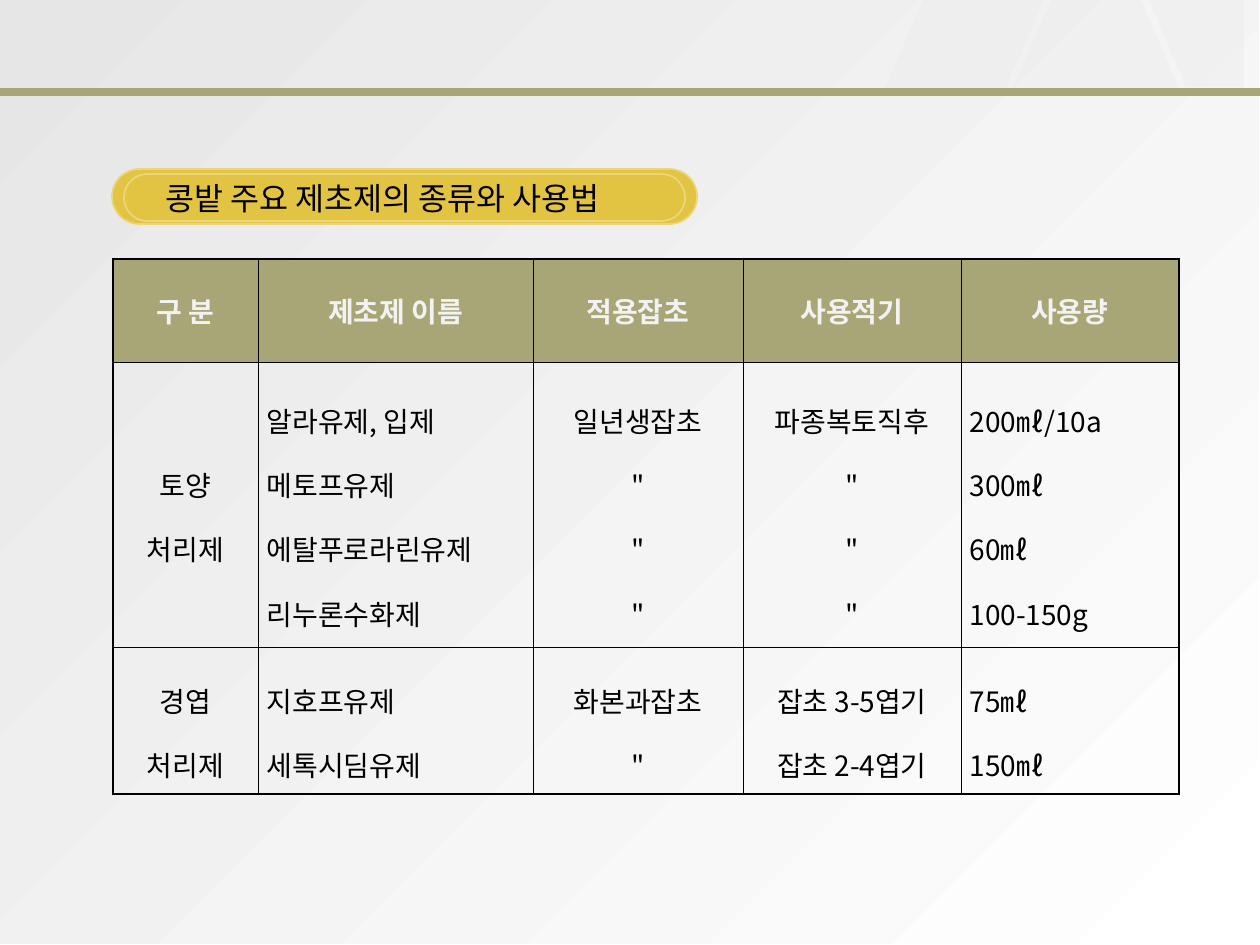
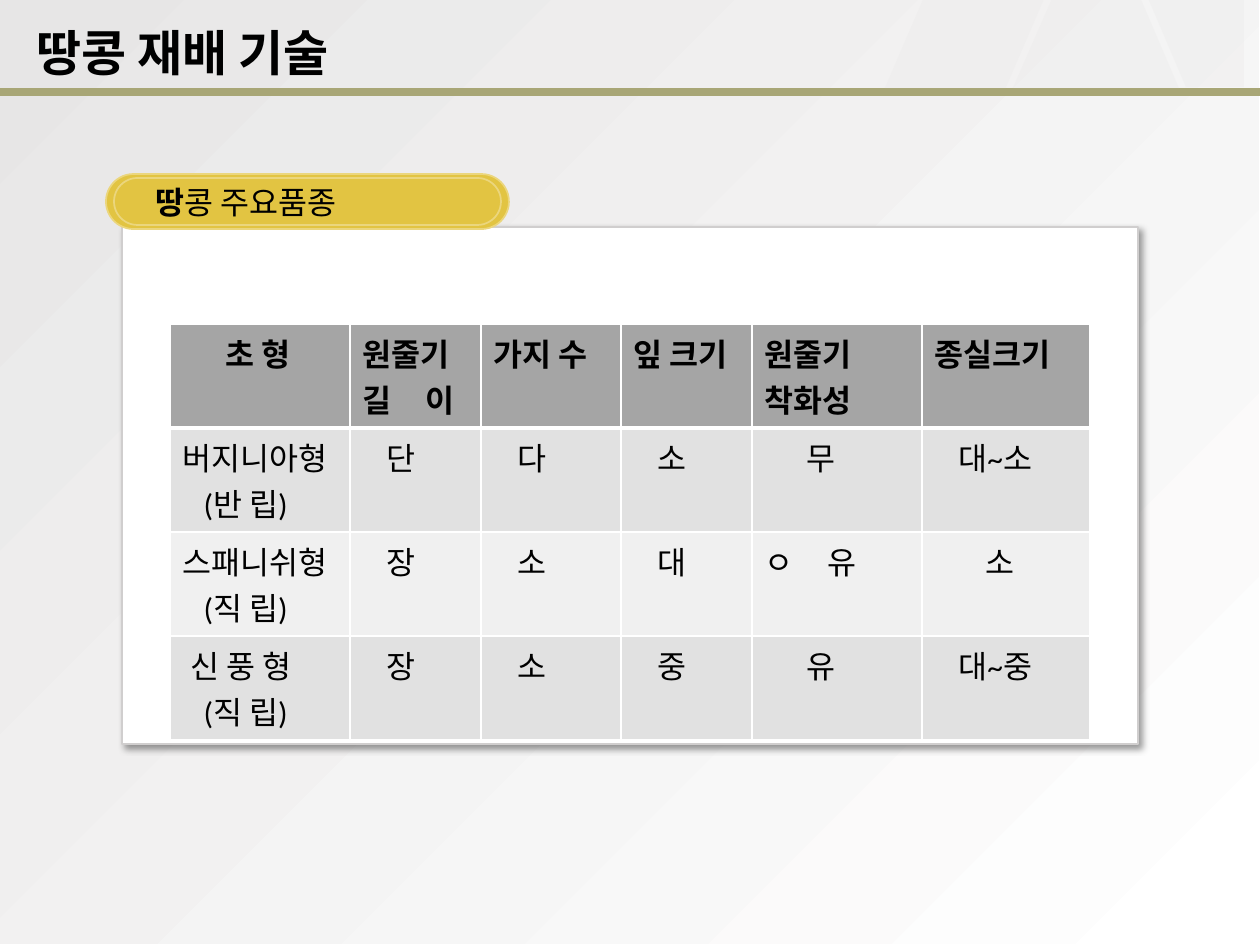
from lxml.etree import SubElement
from pptx import Presentation
from pptx.dml.color import RGBColor as RGB
from pptx.enum.shapes import MSO_SHAPE as SHAPE
from pptx.enum.text import MSO_ANCHOR as ANCHOR, PP_ALIGN as ALIGN
from pptx.oxml.ns import qn
from pptx.util import Pt

PX = 914400 // 126
KOREAN, LATIN = "Noto Sans CJK KR", "Calibri"
BLACK, WHITE = RGB(0, 0, 0), RGB(255, 255, 255)
MIST, OLIVE = RGB(0xE7, 0xE6, 0xE6), RGB(0xA8, 0xA6, 0x76)
GOLD, RIM = RGB(0xE2, 0xC4, 0x42), RGB(0xEB, 0xD6, 0x7D)
PALE, EDGE = RGB(0xF2, 0xF2, 0xF2), RGB(0xD0, 0xCE, 0xCE)
GREY = RGB(0xA5, 0xA5, 0xA5)
BANDS = RGB(0xE1, 0xE1, 0xE1), RGB(0xF0, 0xF0, 0xF0)

TITLE = "땅콩 재배 기술"
DITTO = '\n"'
WEEDS = [
    ["구 분", "제초제 이름", "적용잡초", "사용적기", "사용량"],
    ["토양\n처리제",
     "알라유제, 입제\n메토프유제\n에탈푸로라린유제\n리누론수화제",
     "일년생잡초" + DITTO * 3, "파종복토직후" + DITTO * 3,
     "200㎖/10a\n300㎖\n60㎖\n100-150g"],
    ["경엽\n처리제", "지호프유제\n세톡시딤유제", "화본과잡초" + DITTO,
     "잡초 3-5엽기\n잡초 2-4엽기", "75㎖\n150㎖"],
]
WEED_COLS, WEED_ROWS = [145, 275, 210, 218, 218], [103, 285, 147]
WEED_ALIGN = [ALIGN.CENTER, ALIGN.JUSTIFY, ALIGN.CENTER, ALIGN.CENTER, ALIGN.JUSTIFY]

# Each cell: its text, then the indent of each line in px.
NUTS = [
    [("초 형", 43), ("원줄기\n길\t이", 0, 0), ("가지 수", 0), ("잎 크기", 0),
     ("원줄기\n착화성", 0, 0), ("종실크기", 0)],
    [("버지니아형\n(반 립)", 0, 21), ("단", 24), ("다", 24), ("소", 24),
     ("무", 42), ("대~소", 24)],
    [("스패니쉬형\n(직 립)", 0, 21), ("장", 24), ("소", 24), ("대", 24),
     ("ㅇ\t유", 0), ("소", 51)],
    [("신 풍 형\n(직 립)", 8, 21), ("장", 24), ("소", 24), ("중", 24),
     ("유", 42), ("대~중", 24)],
]
NUT_COLS, NUT_ROW = [180, 131, 140, 131, 170, 168], 104
TABS = {"길\t이": 65, "ㅇ\t유": 45}

TRAPEZE = [(1179, 88), (1138, -8), (1055, -8), (1013, 88)]
CORNER = [(1145, -9), (1186, 87), (1244, 87), (1244, -9)]


def px(*nums):
    return [round(n * PX) for n in nums]


def paint(shape, fill, line=None, width=1):
    shape.shadow.inherit = False
    shape.fill.solid()
    shape.fill.fore_color.rgb = fill
    if line is None:
        shape.line.fill.background()
    else:
        shape.line.color.rgb = line
        shape.line.width = Pt(width)


def fade(shape, share):
    """Let the fill cover only this share, in percent."""
    tone = shape.fill._xPr.find(qn("a:solidFill"))[0]
    SubElement(tone, qn("a:alpha"), val=str(share * 1000))


def style(run, size, color=BLACK, bold=False, face=KOREAN):
    font = run.font
    font.size, font.bold, font.name = Pt(size), bold, face
    font.color.rgb = color
    SubElement(run._r.rPr, qn("a:ea"), typeface=KOREAN)


def indent(para, left, tab=None):
    props = para._p.get_or_add_pPr()
    props.set("marL", str(left * PX))
    props.set("indent", "0")
    if tab:
        stops = SubElement(props, qn("a:tabLst"))
        SubElement(stops, qn("a:tab"), pos=str(tab * PX), algn="l")


def pad(frame, left, top, right, low):
    (frame.margin_left, frame.margin_top,
     frame.margin_right, frame.margin_bottom) = px(left, top, right, low)


def border(cell, color, widths):
    """Draw the left, right, top and bottom lines of a cell."""
    props = cell._tc.get_or_add_tcPr()
    for side, width in zip("LRTB", widths):
        line = SubElement(props, qn("a:ln" + side), w=str(Pt(width)))
        fill = SubElement(line, qn("a:solidFill"))
        SubElement(fill, qn("a:srgbClr"), val=str(color))


def add_base(deck):
    """Add a slide with the shared backdrop, corner pattern and band."""
    slide = deck.slides.add_slide(deck.slide_layouts[6])
    shapes = slide.shapes
    back = shapes.add_shape(SHAPE.RECTANGLE, *px(0, 0, 1259, 944))
    paint(back, MIST)
    back.fill.gradient()
    back.fill.gradient_angle = 315
    for stop, color in zip(back.fill.gradient_stops, (MIST, WHITE)):
        stop.color.rgb = color
    band = shapes.add_shape(SHAPE.RECTANGLE, *px(0, 89, 1260, 6))
    paint(band, OLIVE, OLIVE, 0.75)
    slant = shapes.add_shape(SHAPE.PARALLELOGRAM, *px(885, -8, 162, 96))
    slant.adjustments[0] = 0.43
    panes = [slant]
    for first, *rest in (TRAPEZE, CORNER):
        path = shapes.build_freeform(*first, scale=PX)
        path.add_line_segments(rest)
        panes.append(path.convert_to_shape())
    for pane in panes:
        paint(pane, MIST)
        fade(pane, 25)
    return shapes


def add_pill(shapes, outer, inner, parts):
    for box in (outer, inner):
        pill = shapes.add_shape(SHAPE.ROUNDED_RECTANGLE, *px(*box))
        pill.adjustments[0] = 0.5
        paint(pill, GOLD, RIM)
    frame = pill.text_frame
    frame.vertical_anchor = ANCHOR.MIDDLE
    pad(frame, 35, 6, 13, 6)
    para = frame.paragraphs[0]
    para.alignment = ALIGN.LEFT
    for text, bold in parts:
        run = para.add_run()
        run.text = text
        style(run, 18, bold=bold)


def add_grid(shapes, left, top, cols, rows):
    box = px(left, top, sum(cols), sum(rows))
    table = shapes.add_table(len(rows), len(cols), *box).table
    for col, width in zip(table.columns, px(*cols)):
        col.width = width
    for row, height in zip(table.rows, px(*rows)):
        row.height = height
    return table


def add_weeds(shapes):
    table = add_grid(shapes, 113, 259, WEED_COLS, WEED_ROWS)
    thin, thick = 0.28, 1.7
    for r, row in enumerate(WEEDS):
        for c, text in enumerate(row):
            cell, head = table.cell(r, c), r == 0
            outer = (c == 0, c == len(row) - 1, head, r == len(WEEDS) - 1)
            border(cell, BLACK, [thick if out else thin for out in outer])
            if head:
                cell.fill.solid()
                cell.fill.fore_color.rgb = OLIVE
            else:
                cell.fill.background()
            cell.vertical_anchor = ANCHOR.MIDDLE
            pad(cell, 9, 3, 9, 3)
            cell.text_frame.text = text
            for para in cell.text_frame.paragraphs:
                para.alignment = ALIGN.CENTER if head else WEED_ALIGN[c]
                if not head:
                    para.line_spacing = 1.6
                style(para.runs[0], 16, PALE if head else BLACK, head)


def add_nuts(shapes):
    table = add_grid(shapes, 170, 324, NUT_COLS, [NUT_ROW] * len(NUTS))
    for r, row in enumerate(NUTS):
        for c, (text, *lefts) in enumerate(row):
            cell, head = table.cell(r, c), r == 0
            border(cell, WHITE, (1, 1, 1 if r != 1 else 3, 3 if head else 1))
            cell.fill.solid()
            cell.fill.fore_color.rgb = GREY if head else BANDS[(r - 1) % 2]
            cell.text_frame.text = text
            for para, left in zip(cell.text_frame.paragraphs, lefts):
                indent(para, left, TABS.get(para.text))
                style(para.runs[0], 18, bold=head, face=LATIN)


def add_title(shapes):
    frame = shapes.add_textbox(*px(1, 25, 762, 53)).text_frame
    frame.word_wrap = True
    frame.vertical_anchor = ANCHOR.MIDDLE
    frame.text = TITLE
    para = frame.paragraphs[0]
    indent(para, 23)
    style(para.runs[0], 28, bold=True)


def add_card(shapes):
    card = shapes.add_shape(SHAPE.RECTANGLE, *px(122, 227, 1016, 517))
    paint(card, WHITE, EDGE)
    effects = card._element.spPr.find(qn("a:effectLst"))
    shadow = SubElement(effects, qn("a:outerShdw"), blurRad=str(Pt(4)),
                        dist=str(Pt(3)), dir=str(45 * 60000),
                        algn="tl", rotWithShape="0")
    tone = SubElement(shadow, qn("a:srgbClr"), val=str(BLACK))
    SubElement(tone, qn("a:alpha"), val="40000")


def main():
    deck = Presentation()
    deck.slide_width, deck.slide_height = px(1260, 945)

    shapes = add_base(deck)
    add_pill(shapes, (112, 169, 585, 55), (124, 174, 561, 47),
             [("콩밭 주요 제초제의 종류와 사용법", False)])
    add_weeds(shapes)

    shapes = add_base(deck)
    add_title(shapes)
    add_card(shapes)
    add_pill(shapes, (106, 174, 403, 55), (114, 178, 387, 47),
             [("땅", True), ("콩 주요품종", False)])
    add_nuts(shapes)

    deck.save("out.pptx")


if __name__ == "__main__":
    main()
